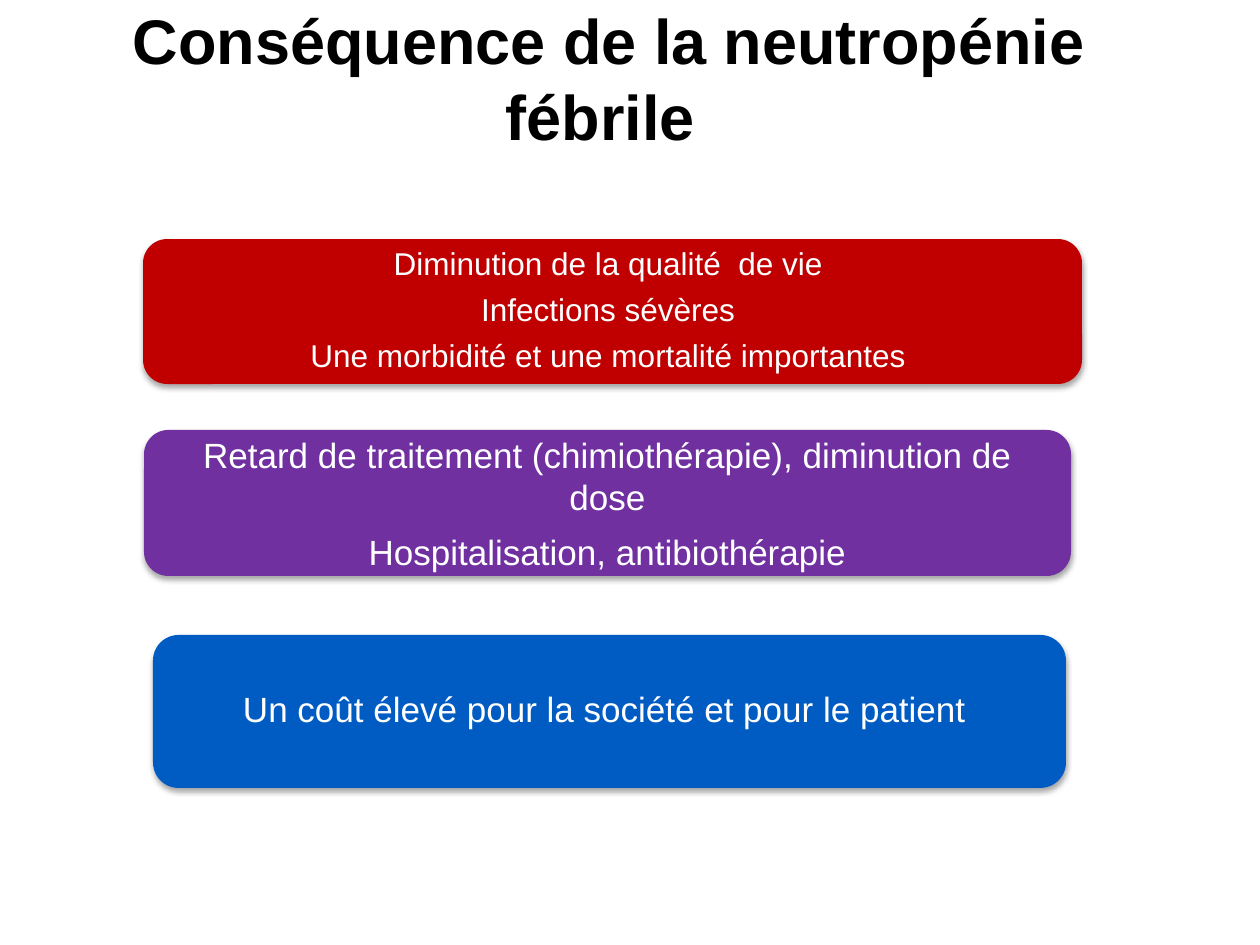
from dataclasses import dataclass

from lxml import etree
from pptx import Presentation
from pptx.dml.color import RGBColor
from pptx.enum.shapes import MSO_SHAPE
from pptx.enum.text import MSO_ANCHOR, PP_ALIGN
from pptx.oxml.ns import qn
from pptx.util import Emu, Pt

ROUNDED = MSO_SHAPE.ROUNDED_RECTANGLE
MIDDLE, BOTTOM = MSO_ANCHOR.MIDDLE, MSO_ANCHOR.BOTTOM
CENTER = PP_ALIGN.CENTER
EMU_PER_PX = 914400 / 126


@dataclass(frozen=True)
class Theme:
    font: str = "Arial"
    black: str = "000000"
    white: str = "FFFFFF"
    red: str = "C00000"
    purple: str = "7030A0"
    blue: str = "005BC3"
    title_size: int = 36
    small_size: int = 18
    body_size: int = 20
    para_gap: int = 7
    card_inset: int = 33


THEME = Theme()


def px(n):
    return Emu(round(n * EMU_PER_PX))


def write_text(sp, lines, size, color, anchor, inset=0, bold=False, spacing=1.0, gap=0):
    tf = sp.text_frame
    tf.word_wrap = True
    tf.vertical_anchor = anchor
    tf.margin_left = tf.margin_right = px(inset)
    tf.margin_top = tf.margin_bottom = 0
    tf.text = "\n".join(lines)
    for p in tf.paragraphs:
        p.alignment = CENTER
        p.line_spacing = spacing
        p.space_after = Pt(gap)
        for r in p.runs:
            r.font.name = THEME.font
            r.font.size = Pt(size)
            r.font.bold = bold
            r.font.color.rgb = RGBColor.from_string(color)


def add_shadow(sp):
    sp.shadow.inherit = False
    effects = sp._element.spPr.find(qn("a:effectLst"))
    shadow = etree.SubElement(
        effects, qn("a:outerShdw"), blurRad=str(Pt(3.1)), dist=str(Pt(1.8)),
        dir="5400000", rotWithShape="0")
    color = etree.SubElement(shadow, qn("a:srgbClr"), val=THEME.black)
    etree.SubElement(color, qn("a:alpha"), val="35000")


def add_title(s, box, text):
    sp = s.shapes.add_textbox(*map(px, box))
    write_text(sp, [text], THEME.title_size, THEME.black, BOTTOM, bold=True)


def add_card(s, box, fill, lines, size, spacing):
    sp = s.shapes.add_shape(ROUNDED, *map(px, box))
    sp.fill.solid()
    sp.fill.fore_color.rgb = RGBColor.from_string(fill)
    sp.line.fill.background()
    add_shadow(sp)
    write_text(sp, lines, size, THEME.white, MIDDLE, inset=THEME.card_inset,
               spacing=spacing, gap=THEME.para_gap)


def main():
    prs = Presentation()
    prs.slide_width, prs.slide_height = px(1260), px(945)
    s = prs.slides.add_slide(prs.slide_layouts[6])
    add_title(s, (42, 35, 1134, 118), "Conséquence de la neutropénie fébrile ")
    cards = [
        ((143, 239, 939, 145), THEME.red,
         ["Diminution de la qualité  de vie ", "Infections sévères ",
          "Une morbidité et une mortalité importantes "], THEME.small_size, 0.9),
        ((144, 430, 927, 146), THEME.purple,
         ["Retard de traitement (chimiothérapie), diminution de dose",
          "Hospitalisation, antibiothérapie"], THEME.body_size, 1.0),
        ((153, 635, 913, 153), THEME.blue,
         ["Un coût élevé pour la société et pour le patient "], THEME.body_size, 0.9),
    ]
    for card in cards:
        add_card(s, *card)
    prs.save("out.pptx")


if __name__ == "__main__":
    main()
